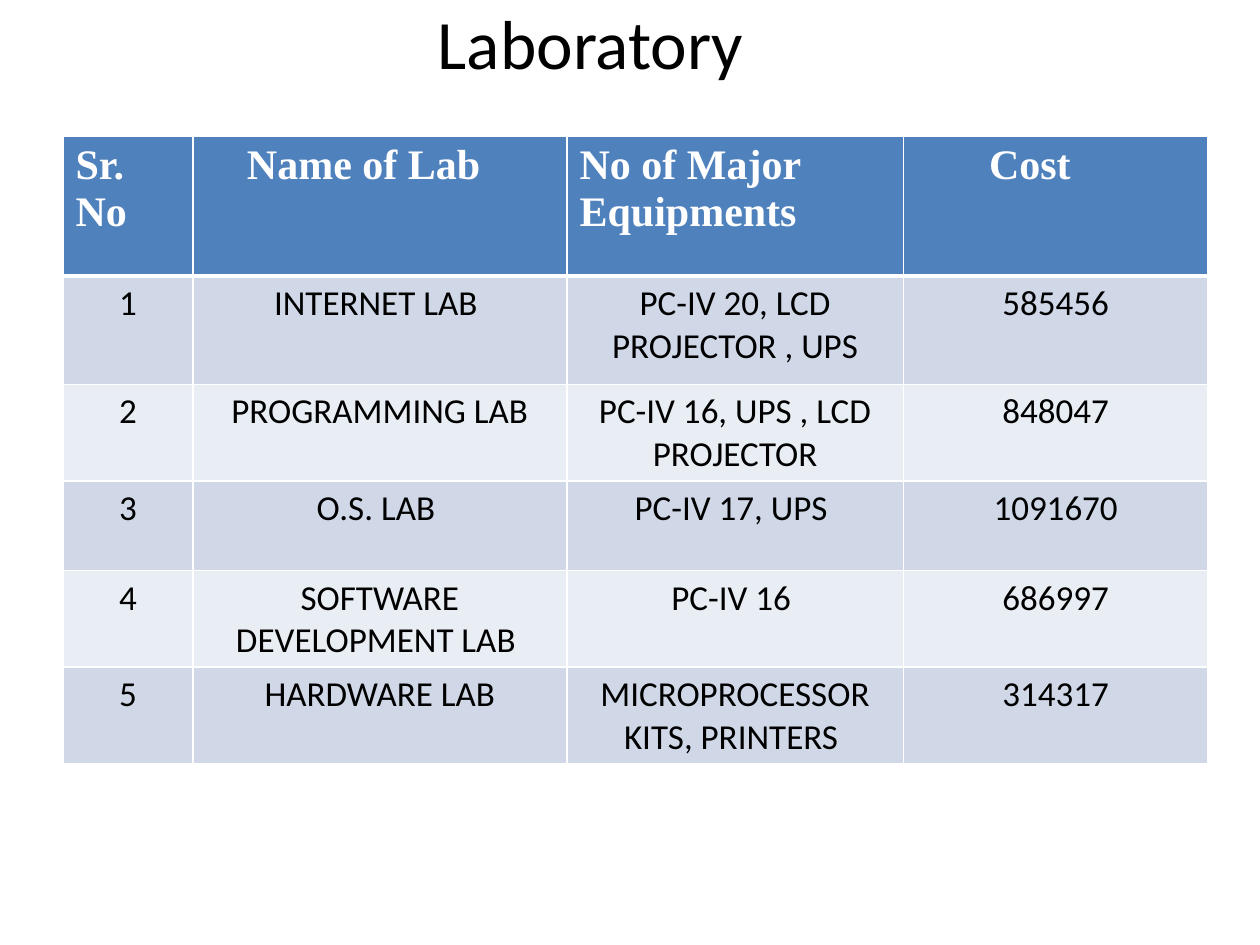
import pptx
import pptx.dml.color
import pptx.enum.text
import pptx.oxml
import pptx.oxml.ns
import pptx.util

Inches = pptx.util.Inches
ALIGN = pptx.enum.text.PP_ALIGN
ANCHOR = pptx.enum.text.MSO_ANCHOR


def color(value):
    return pptx.dml.color.RGBColor.from_string(value)


def write(para, text, alignment, font_format, font_color):
    para.alignment = alignment
    span = para.add_run()
    span.text = text
    for name, value in font_format.items():
        setattr(span.font, name, value)
    span.font.color.rgb = color(font_color)


TITLE = {"name": "Calibri", "size": pptx.util.Pt(39.6)}
HEADER = {"name": "Times New Roman", "size": pptx.util.Pt(24), "bold": True}
BODY = {"name": "Calibri", "size": pptx.util.Pt(20), "bold": False}

COLUMN_WIDTHS = [1.03, 2.97, 2.67, 2.42]
ROW_HEIGHTS = [1.11, 0.86, 0.71, 0.71, 0.71, 0.71]
HEADER_MARGINS = [0.1, 0.43, 0.1, 0.68]
LABS = [
    ["Sr. No", "Name of Lab", "No of Major Equipments", "Cost"],
    ["1", "INTERNET LAB ", "PC-IV 20, LCD PROJECTOR , UPS", "585456"],
    ["2", "PROGRAMMING LAB", "PC-IV 16, UPS , LCD PROJECTOR", "848047"],
    ["3", "O.S. LAB ", "PC-IV 17, UPS ", "1091670"],
    ["4", "SOFTWARE DEVELOPMENT LAB ", "PC-IV 16 ", "686997"],
    ["5", "HARDWARE LAB", "MICROPROCESSOR KITS, PRINTERS ", "314317"],
]

deck = pptx.Presentation()
deck.slide_width, deck.slide_height = Inches(10), Inches(7.5)
page = deck.slides.add_slide(deck.slide_layouts[6])

# Title
box = page.shapes.add_textbox(Inches(0.25), Inches(0), Inches(9), Inches(0.67))
box.text_frame.word_wrap = True
box.text_frame.vertical_anchor = ANCHOR.MIDDLE
write(box.text_frame.paragraphs[0], "Laboratory ", ALIGN.CENTER, TITLE, "000000")

# Table grid
table = page.shapes.add_table(
    len(LABS), len(COLUMN_WIDTHS), Inches(0.5), Inches(1.08),
    Inches(sum(COLUMN_WIDTHS)), Inches(sum(ROW_HEIGHTS))).table
for column, width in zip(table.columns, COLUMN_WIDTHS):
    column.width = Inches(width)
for row, height in zip(table.rows, ROW_HEIGHTS):
    row.height = Inches(height)

# Table cells: header row, then banded rows
for row_index, texts in enumerate(LABS):
    is_header = row_index == 0
    for column_index, text in enumerate(texts):
        cell = table.cell(row_index, column_index)
        para = cell.text_frame.paragraphs[0]
        if is_header:
            fill = "4F81BD"
            cell.margin_left = Inches(HEADER_MARGINS[column_index])
            write(para, text, ALIGN.LEFT, HEADER, "FFFFFF")
        else:
            fill = "D0D8E8" if row_index % 2 else "E9EDF4"
            write(para, text, ALIGN.CENTER, BODY, "000000")
        cell.fill.solid()
        cell.fill.fore_color.rgb = color(fill)

        # White borders, thicker between header and body
        borders = {"L": 1, "R": 1, "T": 3 if row_index == 1 else 1, "B": 3 if is_header else 1}
        properties = cell._tc.get_or_add_tcPr()
        for position, (side, width) in enumerate(borders.items()):
            properties.insert(position, pptx.oxml.parse_xml(
                f'<a:ln{side} {pptx.oxml.ns.nsdecls("a")} w="{pptx.util.Pt(width)}">'
                f'<a:solidFill><a:srgbClr val="FFFFFF"/></a:solidFill></a:ln{side}>'))

deck.save("out.pptx")
